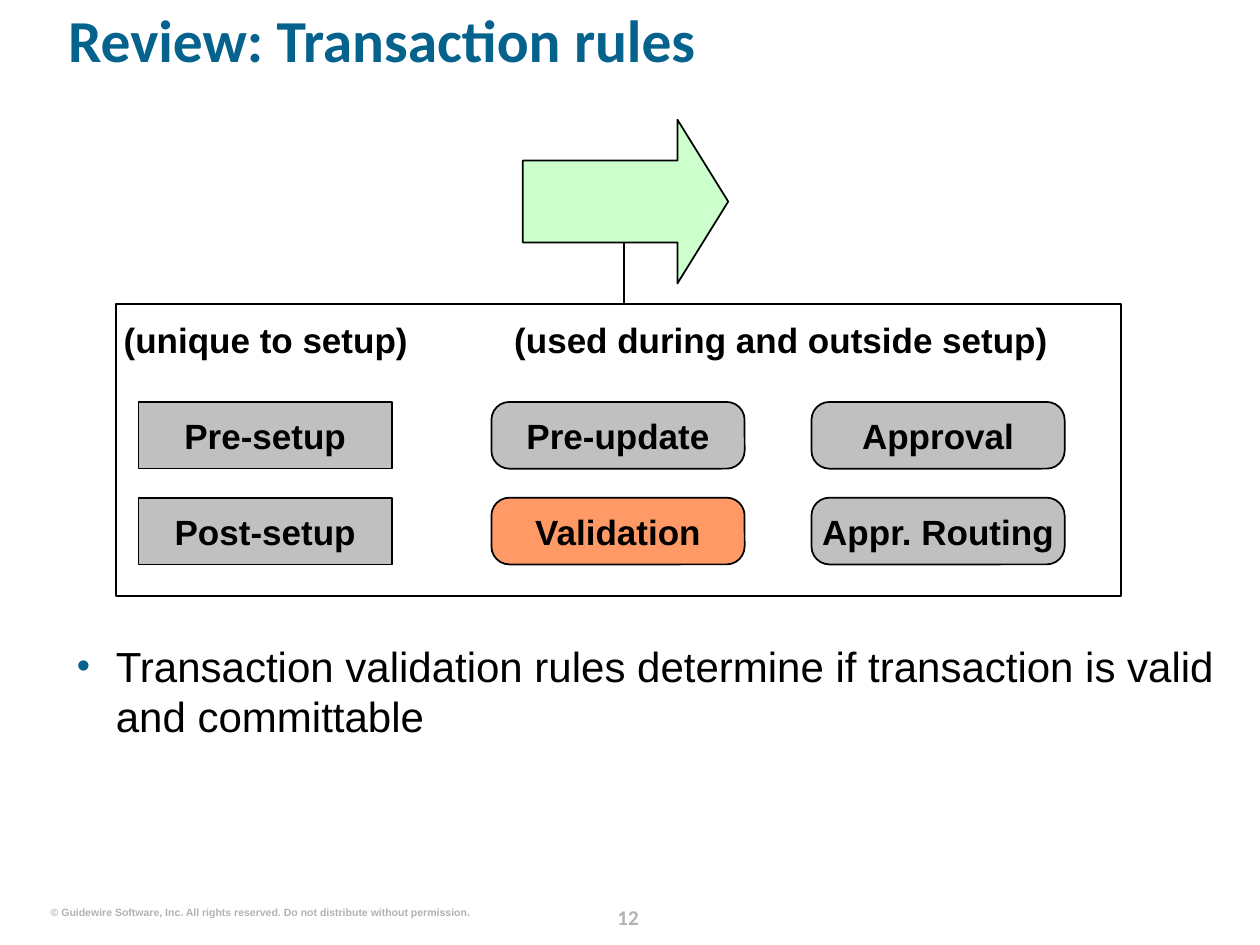
from dataclasses import dataclass

from lxml.etree import SubElement
from pptx import Presentation
from pptx.dml.color import RGBColor
from pptx.enum.shapes import MSO_CONNECTOR as Connector, MSO_SHAPE as Shape
from pptx.enum.text import MSO_ANCHOR as Anchor, MSO_AUTO_SIZE as AutoSize, PP_ALIGN as Align
from pptx.oxml.ns import qn
from pptx.util import Inches, Pt


@dataclass(frozen=True)
class Theme:
    heading: str = "Calibri"
    text: str = "Arial"
    blue: str = "04628C"
    black: str = "000000"
    footer: str = "B2B2B2"
    rule: str = "C0C0C0"
    highlight: str = "FF9966"
    arrow: str = "CCFFCC"
    title_size: float = 34
    body_size: float = 24
    label_size: float = 20
    page_size: float = 12
    copyright_size: float = 6
    line_width: float = 1


@dataclass(frozen=True)
class Box:
    left: float
    top: float
    width: float
    height: float

    def lengths(self) -> tuple:
        return tuple(Inches(v) for v in (self.left, self.top, self.width, self.height))


@dataclass(frozen=True)
class Rule:
    label: str
    column: int
    row: int
    kind: Shape = Shape.ROUNDED_RECTANGLE
    fill: str = Theme.rule


THEME = Theme()
COLUMN_LEFTS = (1.1, 3.9, 6.44)
ROW_TOP, ROW_STEP = 3.19, 0.76
RULE_WIDTH, RULE_HEIGHT = 2.01, 0.53
RULES = (
    Rule("Pre-setup", 0, 0, Shape.RECTANGLE),
    Rule("Post-setup", 0, 1, Shape.RECTANGLE),
    Rule("Pre-update", 1, 0),
    Rule("Validation", 1, 1, fill=THEME.highlight),
    Rule("Approval", 2, 0),
    Rule("Appr. Routing", 2, 1),
)


def write(frame, text: str, size: float, color: str = THEME.black, name: str = THEME.text,
          bold: bool = True, align: Align = Align.CENTER, anchor: Anchor = Anchor.TOP,
          wrap: bool = True):
    frame.auto_size = AutoSize.NONE
    frame.word_wrap = wrap
    frame.vertical_anchor = anchor
    frame.margin_left = frame.margin_top = frame.margin_right = frame.margin_bottom = 0
    frame.text = text
    paragraph = frame.paragraphs[0]
    paragraph.alignment = align
    paragraph.space_before = Pt(0)
    font = paragraph.font
    font.name, font.size, font.bold = name, Pt(size), bold
    font.color.rgb = RGBColor.from_string(color)
    return paragraph


def place(placeholder, box: Box) -> None:
    placeholder.left, placeholder.top, placeholder.width, placeholder.height = box.lengths()


def add_outlined(slide, kind: Shape, box: Box, fill: str = ""):
    shape = slide.shapes.add_shape(kind, *box.lengths())
    shape.shadow.inherit = False
    if fill:
        shape.fill.solid()
        shape.fill.fore_color.rgb = RGBColor.from_string(fill)
    else:
        shape.fill.background()
    shape.line.color.rgb = RGBColor.from_string(THEME.black)
    shape.line.width = Pt(THEME.line_width)
    return shape


def add_rule(slide, rule: Rule) -> None:
    box = Box(COLUMN_LEFTS[rule.column], ROW_TOP + rule.row * ROW_STEP, RULE_WIDTH, RULE_HEIGHT)
    shape = add_outlined(slide, rule.kind, box, rule.fill)
    if rule.kind == Shape.ROUNDED_RECTANGLE:
        shape.adjustments[0] = 0.27
    write(shape.text_frame, rule.label, THEME.label_size, anchor=Anchor.MIDDLE)


def add_text(slide, box: Box, text: str, size: float, **style):
    return write(slide.shapes.add_textbox(*box.lengths()).text_frame, text, size, **style)


def add_stem(slide, x: float, top: float, bottom: float) -> None:
    stem = slide.shapes.add_connector(
        Connector.STRAIGHT, Inches(x), Inches(bottom), Inches(x), Inches(top))
    stem.line.color.rgb = RGBColor.from_string(THEME.black)
    stem.line.width = Pt(THEME.line_width)
    SubElement(stem._element.spPr, qn("a:effectLst"))


def add_bullet(paragraph, color: str, indent: float) -> None:
    properties = paragraph._p.get_or_add_pPr()
    properties.set("marL", str(Inches(indent)))
    properties.set("indent", str(-Inches(indent)))
    bullet_color = SubElement(properties, qn("a:buClr"))
    SubElement(bullet_color, qn("a:srgbClr"), val=color)
    SubElement(properties, qn("a:buSzPct"), val="90000")
    SubElement(properties, qn("a:buFont"), typeface=THEME.text)
    SubElement(properties, qn("a:buChar"), char="•")
    default_run = properties.find(qn("a:defRPr"))
    if default_run is not None:
        properties.append(default_run)


def main() -> None:
    deck = Presentation()
    deck.slide_width, deck.slide_height = Inches(10), Inches(7.5)
    slide = deck.slides.add_slide(deck.slide_layouts[1])

    title, body = slide.shapes.title, slide.placeholders[1]
    place(title, Box(0.54, 0.13, 9.1, 0.81))
    heading = write(title.text_frame, "Review: Transaction rules", THEME.title_size,
                    THEME.blue, THEME.heading, align=Align.LEFT)
    heading.line_spacing = 0.8

    place(body, Box(0.61, 5.08, 9.1, 1.89))
    summary = write(
        body.text_frame,
        "Transaction validation rules determine if transaction is valid and committable",
        THEME.body_size, bold=False, align=Align.LEFT)
    add_bullet(summary, THEME.blue, 0.31)

    add_outlined(slide, Shape.RECTANGLE, Box(0.92, 2.41, 7.98, 2.32))
    add_stem(slide, 4.95, 1.92, 2.41)
    setup_arrow = add_outlined(slide, Shape.RIGHT_ARROW, Box(4.15, 0.95, 1.63, 1.3), THEME.arrow)
    setup_arrow.adjustments[1] = 0.31

    add_text(slide, Box(0.91, 2.53, 2.4, 0.33), "(unique to setup)", THEME.label_size)
    add_text(slide, Box(4, 2.53, 4.4, 0.33), "(used during and outside setup)", THEME.label_size)
    for rule in RULES:
        add_rule(slide, rule)

    add_text(slide, Box(0.4, 7.19, 3.33, 0.1),
             "© Guidewire Software, Inc. All rights reserved. Do not distribute without permission.",
             THEME.copyright_size, color=THEME.footer, align=Align.RIGHT, wrap=False)
    page_number = add_text(slide, Box(4.7, 7.13, 0.57, 0.25), "12", THEME.page_size,
                           color=THEME.footer, name=THEME.heading)
    page_number.line_spacing = Pt(18)

    deck.save("out.pptx")


if __name__ == "__main__":
    main()
